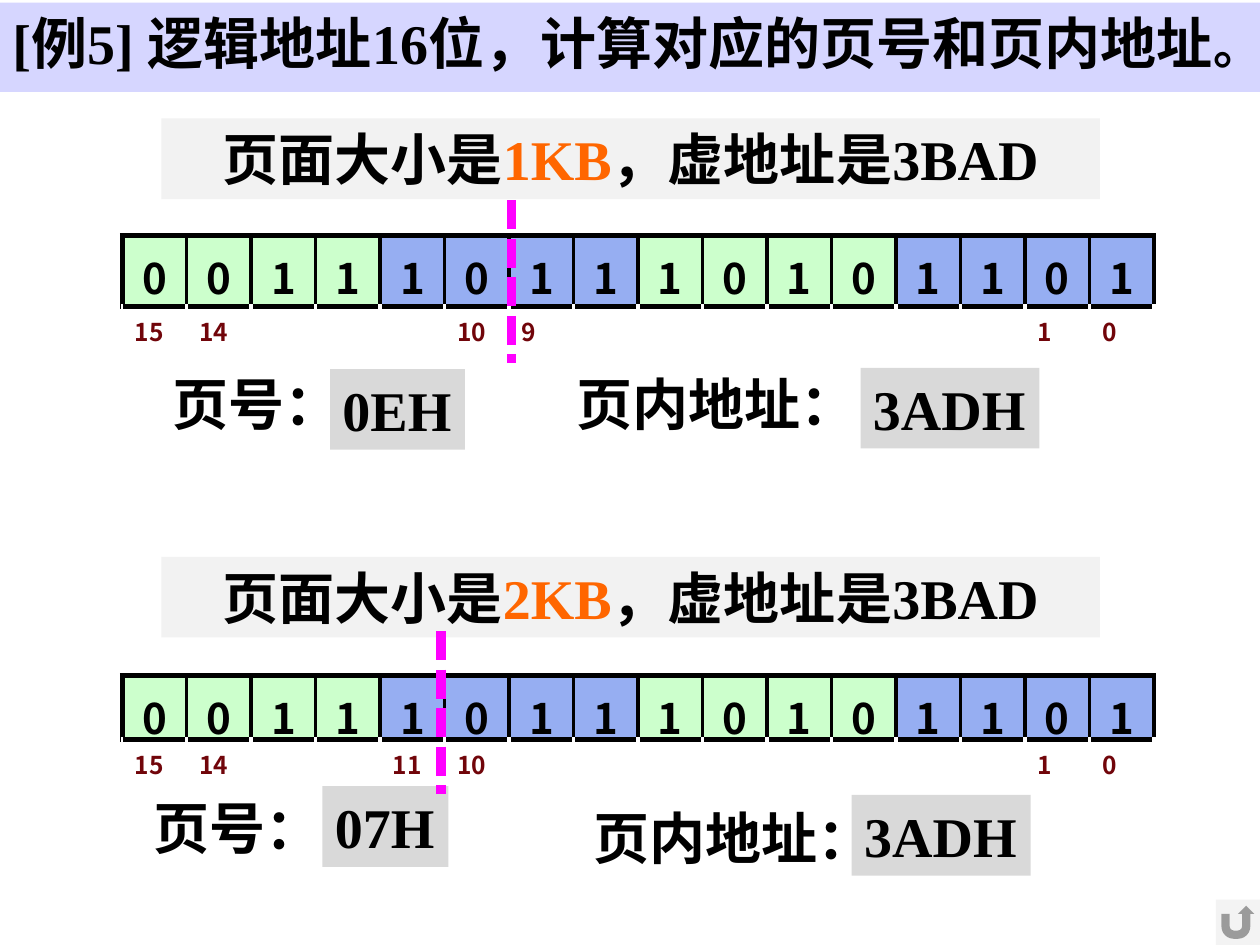
from dataclasses import dataclass

from lxml.etree import SubElement
from pptx import Presentation
from pptx.dml.color import RGBColor
from pptx.enum.dml import MSO_LINE
from pptx.enum.shapes import MSO_CONNECTOR, MSO_SHAPE
from pptx.enum.text import MSO_ANCHOR, PP_ALIGN
from pptx.oxml.ns import qn
from pptx.util import Inches, Pt

COLORS = {
    "black": "000000", "white": "FFFFFF", "title": "D6D6FF", "banner": "F2F2F2",
    "answer": "D9D9D9", "accent": "FF6600", "green": "CCFFCC", "blue": "96AEF2",
    "index": "71050A", "split": "FF00FF",
}
SERIF, SANS, INDEX_FONT = "Times New Roman", "Noto Sans CJK SC", "Noto Sans CJK KR"
BITS = f"{0x3BAD:016b}"
Box = tuple[float, float, float, float]


@dataclass
class Label:
    text: str
    box: Box


@dataclass
class Example:
    page_size: str
    banner_top: float
    table_top: float
    indices: tuple[int, ...]
    split: tuple[float, float]
    labels: tuple[Label, ...]
    answers: tuple[Label, ...]


EXAMPLES = (
    Example("1KB", 0.94, 1.87, (15, 14, 10, 9, 1, 0), (4.06, 1.59),
            (Label("页号：", (1.27, 2.88, 1.8, 0.64)),
             Label("页内地址：", (4.48, 2.88, 2.52, 0.64))),
            (Label("0EH", (2.62, 2.93, 1.07, 0.64)),
             Label("3ADH", (6.83, 2.92, 1.42, 0.64)))),
    Example("2KB", 4.42, 5.36, (15, 14, 11, 10, 1, 0), (3.5, 5.01),
            (Label("页号：", (1.12, 6.25, 1.8, 0.64)),
             Label("页内地址：", (4.61, 6.33, 2.52, 0.64))),
            (Label("07H", (2.56, 6.24, 1, 0.64)),
             Label("3ADH", (6.76, 6.31, 1.42, 0.64)))),
)


def rgb(name: str) -> RGBColor:
    return RGBColor.from_string(COLORS[name])


def add_text(p, text: str, *, size: float = 32, font: str = SERIF,
             color: str = "black", bold: bool = True) -> None:
    r = p.add_run()
    r.text = text
    r.font.size, r.font.name, r.font.bold = Pt(size), font, bold
    r.font.color.rgb = rgb(color)
    east_asian = SANS if font == SERIF else font
    SubElement(r.font._element, qn("a:ea")).set("typeface", east_asian)


def add_shape(s, box: Box, fill: str, kind=MSO_SHAPE.RECTANGLE):
    sp = s.shapes.add_shape(kind, *map(Inches, box))
    sp.shadow.inherit = False
    sp.fill.solid()
    sp.fill.fore_color.rgb = rgb(fill)
    sp.line.fill.background()
    return sp


def prepare(sp, *, align=PP_ALIGN.LEFT, wrap: bool = True):
    tf = sp.text_frame
    tf.word_wrap, tf.vertical_anchor = wrap, MSO_ANCHOR.TOP
    p = tf.paragraphs[0]
    p.alignment = align
    return p


def set_borders(cell, **borders: tuple[str, float]) -> None:
    tc_pr = cell._tc.get_or_add_tcPr()
    for i, (side, (color, width)) in enumerate(borders.items()):
        ln = tc_pr.makeelement(qn(f"a:ln{side}"), {"w": str(Pt(width))})
        solid = SubElement(ln, qn("a:solidFill"))
        SubElement(solid, qn("a:srgbClr")).set("val", COLORS[color])
        tc_pr.insert(i, ln)


def add_bit_table(s, top: float, indices: tuple[int, ...]) -> None:
    n = len(BITS)
    frame = s.shapes.add_table(2, n, Inches(0.97), Inches(top), Inches(8.19), Inches(1.02))
    table = frame.table
    table.first_row = table.horz_banding = False
    thick, thin, blank = ("black", 3), ("black", 2.25), ("white", 2.25)
    for col, bit in enumerate(BITS):
        cell = table.cell(0, col)
        cell.fill.solid()
        cell.fill.fore_color.rgb = rgb("blue" if col // 4 % 2 else "green")
        cell.vertical_anchor = MSO_ANCHOR.MIDDLE
        cell.margin_top, cell.margin_bottom = Inches(0.08), 0
        p = cell.text_frame.paragraphs[0]
        p.alignment = PP_ALIGN.CENTER
        add_text(p, bit, size=24, font=SANS)
        set_borders(cell, L=thin if col else thick,
                    R=thin if col < n - 1 else thick, T=thick, B=thick)

        cell = table.cell(1, col)
        cell.fill.background()
        if n - 1 - col in indices:
            add_text(cell.text_frame.paragraphs[0], str(n - 1 - col), size=14,
                     font=INDEX_FONT, color="index")
        left = {"L": blank} if col else {}
        set_borders(cell, **left, R=blank, T=thick, B=blank)


def add_split(s, x: float, y: float) -> None:
    c = s.shapes.add_connector(MSO_CONNECTOR.STRAIGHT, Inches(x), Inches(y),
                               Inches(x), Inches(y + 1.29))
    c.line.color.rgb = rgb("split")
    c.line.width = Pt(5.5)
    c.line.dash_style = MSO_LINE.SQUARE_DOT
    SubElement(c._element.spPr, qn("a:effectLst"))


def add_example(s, ex: Example) -> None:
    add_bit_table(s, ex.table_top, ex.indices)
    sp = add_shape(s, (1.28, ex.banner_top, 7.45, 0.64), "banner")
    p = prepare(sp, align=PP_ALIGN.CENTER)
    add_text(p, "页面大小是")
    add_text(p, ex.page_size, color="accent")
    add_text(p, "，虚地址是3BAD")
    for label in ex.labels:
        sp = s.shapes.add_textbox(*map(Inches, label.box))
        add_text(prepare(sp), label.text, font=SANS)
    for answer in ex.answers:
        sp = add_shape(s, answer.box, "answer")
        add_text(prepare(sp, wrap=False), answer.text)
    add_split(s, *ex.split)


def add_title(s) -> None:
    p = prepare(add_shape(s, (0, 0.02, 10, 0.71), "title"))
    p_pr = p._p.get_or_add_pPr()
    p_pr.set("marL", str(Inches(0.38)))
    p_pr.set("indent", str(Inches(-0.38)))
    add_text(p, "[例5] 逻辑地址16位，计算对应的页号和页内地址")
    add_text(p, "。", size=28)


def add_return_button(s) -> None:
    sp = add_shape(s, (9.65, 7.14, 0.35, 0.36), "banner", MSO_SHAPE.ACTION_BUTTON_RETURN)
    color = sp._element.spPr.find(qn("a:solidFill")).find(qn("a:srgbClr"))
    SubElement(color, qn("a:alpha")).set("val", "90000")


def main() -> None:
    prs = Presentation()
    prs.slide_width, prs.slide_height = Inches(10), Inches(7.5)
    s = prs.slides.add_slide(prs.slide_layouts[6])
    add_title(s)
    for ex in EXAMPLES:
        add_example(s, ex)
    add_return_button(s)
    prs.save("out.pptx")


if __name__ == "__main__":
    main()
